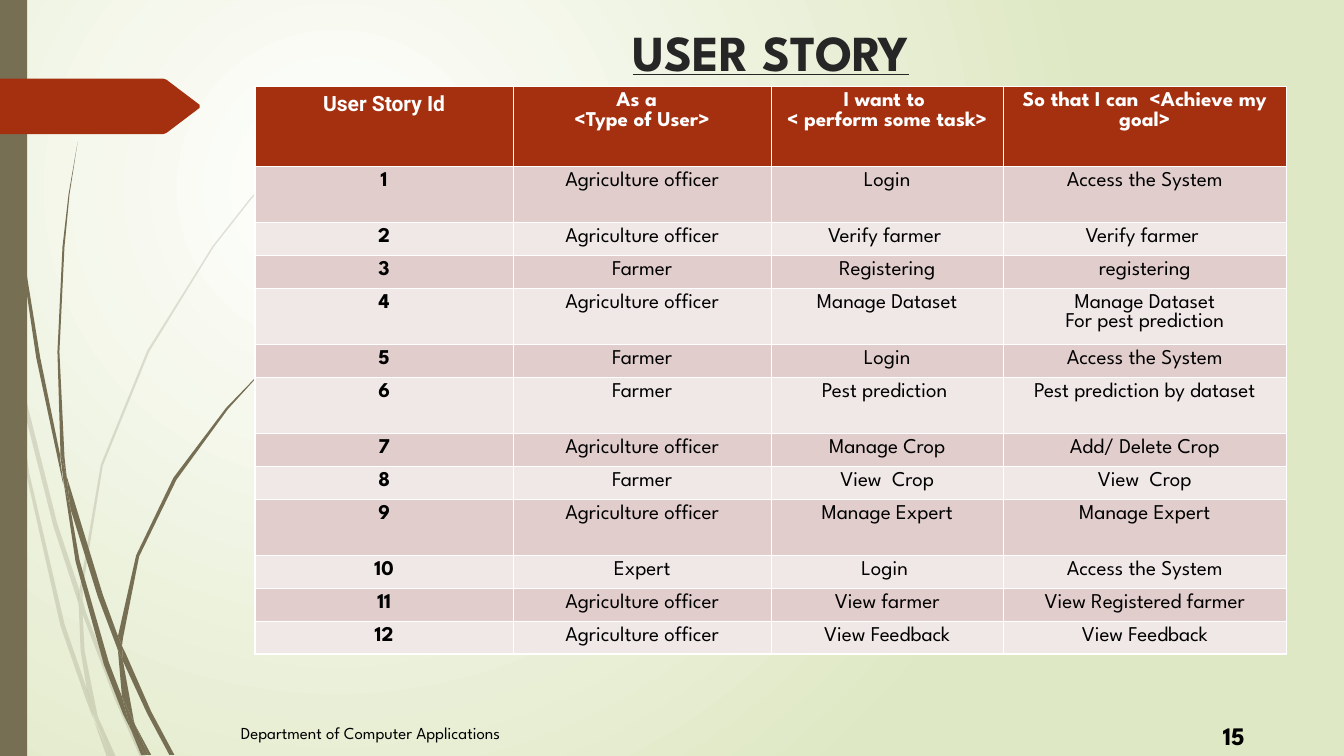
from lxml import etree
from pptx import Presentation, util as u
from pptx.dml.color import RGBColor
from pptx.enum import shapes as kinds, text
from pptx.oxml import parse_xml
from pptx.oxml.ns import nsdecls, qn

# The slide is a grid of 1333 columns by 750 rows, each 0.01 inch
COLUMNS, ROWS = 1333, 750
CELL = u.Inches(0.01)
COLORS = {"white": "FFFFFF", "mist": "DFE8C4", "olive": "766F54", "rust": "A53010",
          "band": "E1CDCC", "pale": "F0E8E7", "title": "262626", "black": "000000"}
FONT = "League Spartan"

# Outlines as column,row corners
FAINT_BLADES = [
    "10,350 8,322 0,282 0,299 9,344",
    "53,522 78,599 79,586 57,520 13,345 16,376",
    "85,607 82,596 82,610 114,694 139,751 144,751 118,692",
    "110,751 115,751 97,711",
    "86,683 64,619 29,469 16,376 10,350 26,470 60,621 85,693 93,714 92,707",
    "78,599 80,646 86,683 89,692 97,711 96,706 84,646 82,610 81,608",
    "82,584 102,462 148,349 212,245 249,198 268,175 289,154 289,153 268,175 248,197 211,244"
    " 146,348 100,461 79,584 79,586 82,596",
    "93,714 106,751 110,751",
    "81,608 82,610 82,596 78,586 78,599",
    "89,692 86,683 92,707 94,714 110,751 97,711",
]
SOLID_BLADES = [
    "7,110 18,233 36,355 62,477 63,481 60,457 60,453 40,355 20,232 8,109 5,48 4,0 3,0 4,48",
    "97,592 117,645 117,633 117,631 102,590 66,472 70,505",
    "125,649 121,641 122,656 146,708 168,749 173,749 150,706",
    "121,691 108,657 79,556 70,505 63,477 75,557 103,659 122,708 129,722 128,717",
    "66,472 64,453 59,349 64,245 69,193 77,141 68,193 62,245 57,349 60,449",
    "147,749 150,749 134,719",
    "63,477 70,505 66,472 60,449 60,453",
    "122,633 138,552 175,476 226,406 255,374 271,359 288,344 287,344 270,358 255,373 224,405"
    " 172,474 135,551 117,631 121,641",
    "129,722 140,749 144,749",
    "117,645 121,691 128,706 134,719 133,716 122,656 120,651",
    "117,645 120,651 122,656 121,641 117,631 117,633",
    "128,706 121,691 128,717 129,722 144,749 147,749 134,719",
]
PAGE_TAG = "198,107 165,132 162,133 0,133 0,78 162,78 165,79 198,104"

# Story table
HEADER = ["User Story Id", "As a  \n<Type of User>", "I want to \n< perform some task>",
          "So that I can  <Achieve my goal>"]
OFFICER, FARMER, ACCESS = "Agriculture officer", "Farmer", "Access the System"
STORIES = [
    (OFFICER, "Login", ACCESS), (OFFICER, "Verify farmer ", "Verify farmer "),
    (FARMER, "Registering", "registering"),
    (OFFICER, "Manage Dataset", "Manage Dataset\nFor pest prediction"),
    (FARMER, "Login", ACCESS), (FARMER, "Pest prediction ", "Pest prediction by dataset"),
    (OFFICER, "Manage Crop", "Add/ Delete Crop"), (FARMER, "View  Crop", "View  Crop"),
    (OFFICER, "Manage Expert", "Manage Expert"), ("Expert", "Login ", ACCESS),
    (OFFICER, "View farmer", "View Registered farmer"),
    (OFFICER, "View Feedback", "View Feedback"),
]
TALL_STORIES = {1, 4, 6, 9}


def grid(*cells):
    return [round(cell * CELL) for cell in cells]


def paint(shape, color, opacity=100):
    shape.shadow.inherit = False
    shape.fill.solid()
    shape.fill.fore_color.rgb = RGBColor.from_string(COLORS[color])
    shape.line.fill.background()
    if opacity < 100:
        tint = shape._element.spPr.find(".//" + qn("a:srgbClr"))
        etree.SubElement(tint, qn("a:alpha"), val=str(opacity * 1000))


def add_outline(shapes, outline, color, opacity=100):
    corners = [grid(*map(int, corner.split(","))) for corner in outline.split()]
    builder = shapes.build_freeform(*corners[0], scale=1.0)
    builder.add_line_segments(corners[1:], close=True)
    paint(builder.convert_to_shape(), color, opacity)


def add_blades(slide, outlines, opacity):
    group = slide.shapes.add_group_shape()
    for outline in outlines:
        add_outline(group.shapes, outline, "olive", opacity)


def write(frame, words, color, align=text.PP_ALIGN.CENTER, **formats):
    frame.text = words
    for paragraph in frame.paragraphs:
        paragraph.alignment = align
        for run in paragraph.runs:
            run.font.color.rgb = RGBColor.from_string(COLORS[color])
            for name, value in {"name": FONT, **formats}.items():
                setattr(run.font, name, value)


def set_background(slide):
    stops = "".join(f'<a:gs pos="{place}"><a:srgbClr val="{COLORS[color]}"/></a:gs>'
                    for place, color in ((0, "white"), (100000, "mist")))
    slide._element.cSld.insert(0, parse_xml(
        f'<p:bg {nsdecls("p", "a")}><p:bgPr><a:gradFill rotWithShape="1"><a:gsLst>{stops}</a:gsLst>'
        '<a:path path="circle"><a:fillToRect l="50000" t="50000" r="100000" b="100000"/></a:path>'
        '</a:gradFill><a:effectLst/></p:bgPr></p:bg>'))


def add_title(slide, words, *box):
    title = slide.shapes.title
    title.left, title.top, title.width, title.height = grid(*box)
    frame = title.text_frame
    frame.vertical_anchor, frame.auto_size = text.MSO_ANCHOR.TOP, text.MSO_AUTO_SIZE.NONE
    frame.margin_top = u.Inches(0.21)
    write(frame, words, "title", size=u.Pt(36), bold=True, underline=True)
    slide.shapes._spTree.append(title._element)


def fill_cell(cell, words, color, fill, **formats):
    write(cell.text_frame, words, color, size=u.Pt(15), **formats)
    cell.fill.solid()
    cell.fill.fore_color.rgb = RGBColor.from_string(COLORS[fill])


def add_stories(slide, *box):
    # The default table style supplies the white rules
    table = slide.shapes.add_table(len(STORIES) + 1, len(HEADER), *grid(*box)).table
    for column, width in zip(table.columns, grid(256, 256, 230, 281)):
        column.width = width
    table.rows[0].height = grid(79)[0]
    for column, words in enumerate(HEADER):
        fill_cell(table.cell(0, column), words, "white", "rust", bold=True,
                  name=FONT if column else "Roboto")
    for number, story in enumerate(STORIES, 1):
        table.rows[number].height = grid(56 if number in TALL_STORIES else 32.5)[0]
        for column, words in enumerate((str(number), *story)):
            fill_cell(table.cell(number, column), words, "black",
                      "band" if number % 2 else "pale", bold=column == 0)


def add_footer(slide, words, *box, **formats):
    frame = slide.shapes.add_textbox(*grid(*box)).text_frame
    frame.word_wrap, frame.vertical_anchor = True, text.MSO_ANCHOR.BOTTOM
    write(frame, words, "black", text.PP_ALIGN.LEFT, **formats)


def main():
    presentation = Presentation()
    presentation.slide_width, presentation.slide_height = grid(COLUMNS, ROWS)
    slide = presentation.slides.add_slide(presentation.slide_layouts[5])
    # Backdrop
    set_background(slide)
    add_blades(slide, FAINT_BLADES, 20)
    add_blades(slide, SOLID_BLADES, 100)
    paint(slide.shapes.add_shape(kinds.MSO_SHAPE.RECTANGLE, *grid(0, 0, 27, ROWS)), "olive")
    add_outline(slide.shapes, PAGE_TAG, "rust")
    # Content
    add_title(slide, "USER STORY", 284, 0, 961, 208)
    add_stories(slide, 253, 86, 1023, 605)
    add_footer(slide, "Department of Computer Applications", 229, 712, 523, 30, size=u.Pt(12))
    add_footer(slide, "15", 1203, 710, 49, 40, size=u.Pt(18), bold=True)
    presentation.save("out.pptx")


if __name__ == "__main__":
    main()
